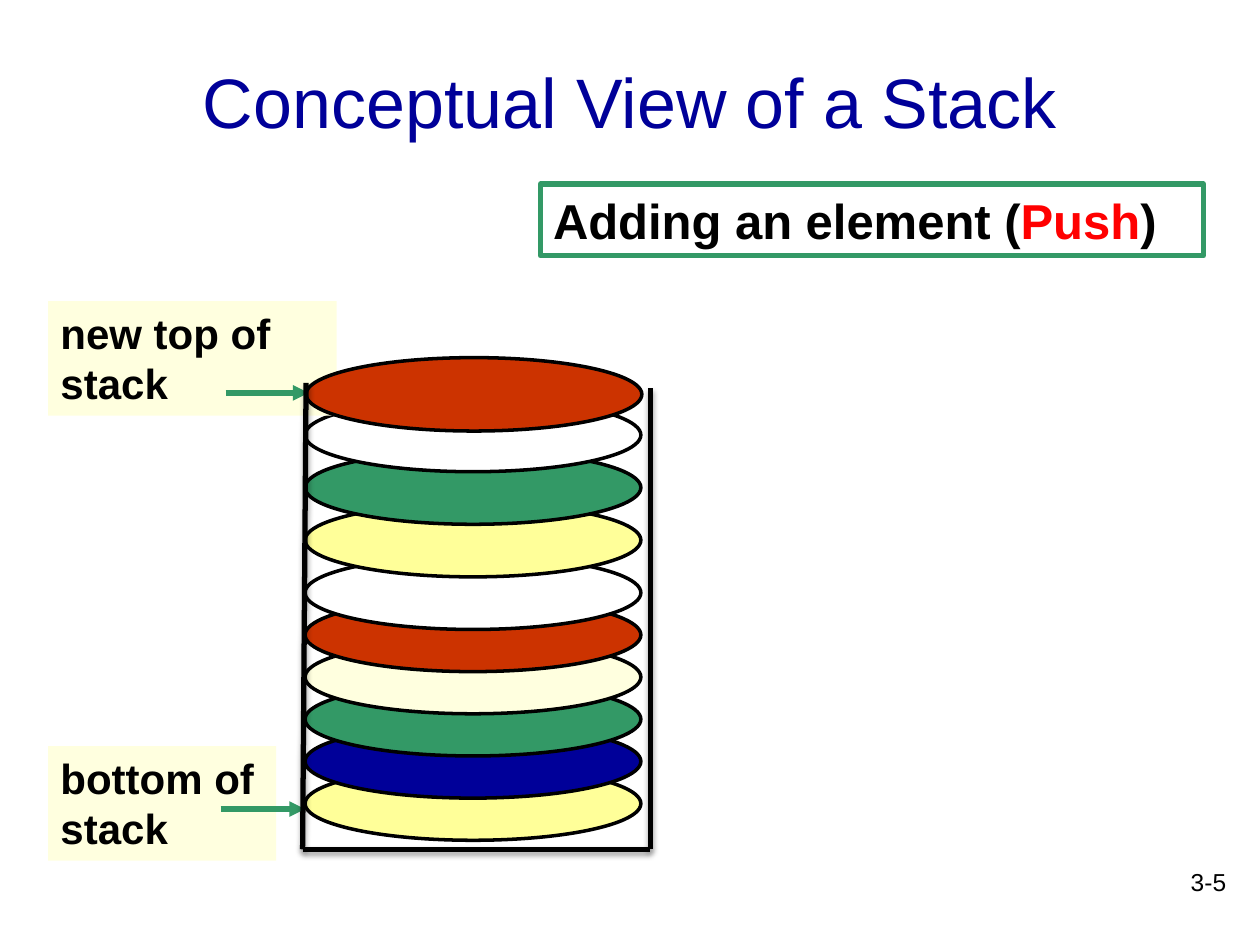
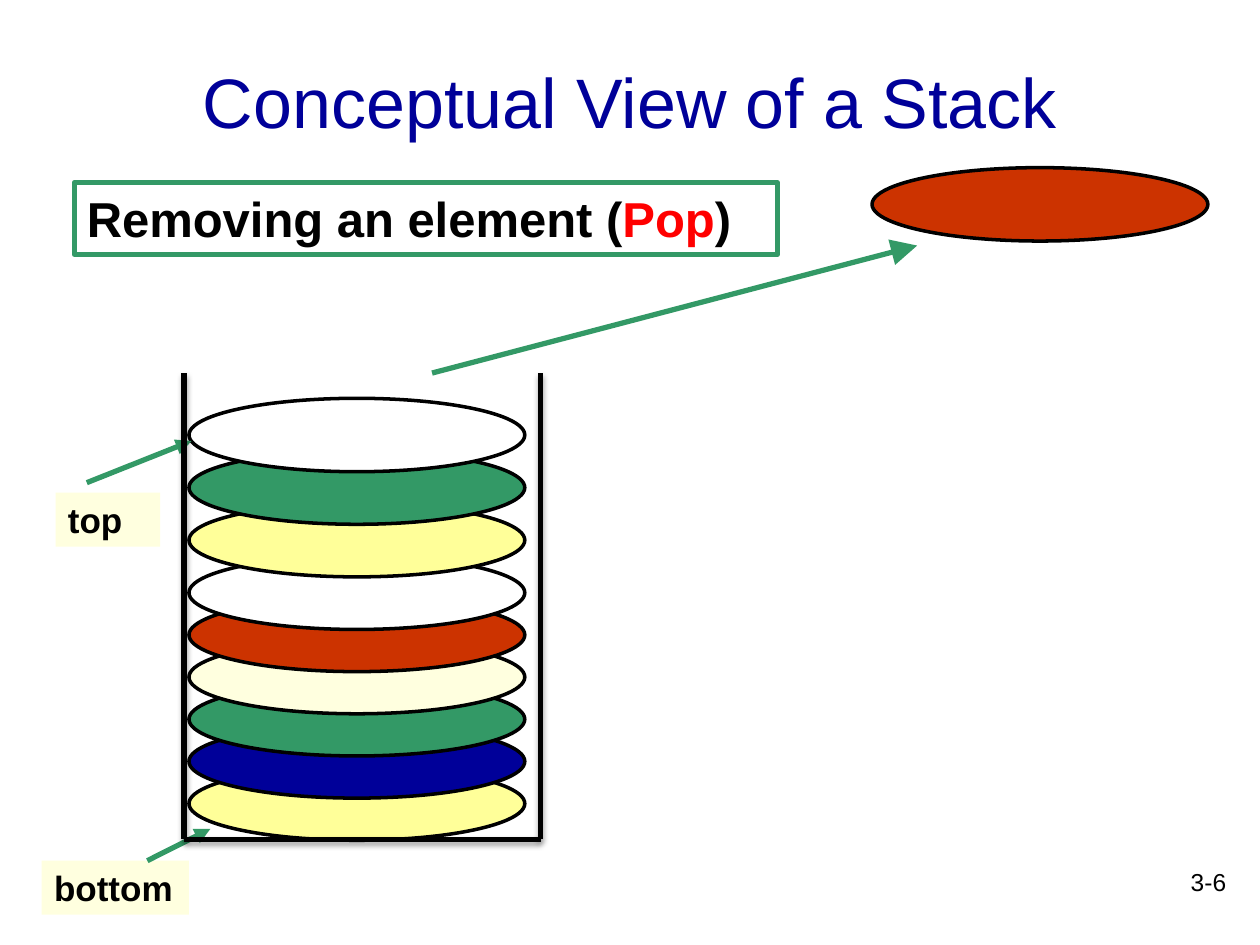
from dataclasses import dataclass

from lxml.etree import SubElement
from pptx import Presentation
from pptx.dml.color import RGBColor
from pptx.enum.shapes import MSO_CONNECTOR as Connector, MSO_SHAPE as Shape
from pptx.enum.text import MSO_ANCHOR as Anchor, PP_ALIGN as Align
from pptx.oxml.ns import qn
from pptx.util import Cm, Pt


@dataclass(frozen=True)
class Theme:
    font: str = "Arial"
    black: str = "000000"
    white: str = "FFFFFF"
    navy: str = "000099"
    green: str = "339966"
    yellow: str = "FFFF99"
    cream: str = "FFFFDF"
    rust: str = "CC3300"
    red: str = "FF0000"
    title_size: int = 40
    operation_size: int = 28
    number_size: int = 14
    outline: int = 2
    rule: int = 3


THEME = Theme()
DISC_WIDTH, DISC_HEIGHT = 6.77, 1.48
BOTTOM_DISC_TOP = 15.46
TIGHT_STEP, LOOSE_STEP = 0.85, 1.06
TIGHT_DISCS = 6
DISC_COLORS = (THEME.yellow, THEME.navy, THEME.green, THEME.cream, THEME.rust,
               THEME.white, THEME.yellow, THEME.green, THEME.white)


class StackDeck:
    def __init__(self, theme):
        self.theme = theme
        self.presentation = Presentation()
        self.presentation.slide_width = Cm(25.4)
        self.presentation.slide_height = Cm(19.05)
        self.slide = None

    def new_slide(self, number):
        """Start a slide with the shared title and page number."""
        self.slide = self.presentation.slides.add_slide(self.presentation.slide_layouts[6])
        theme = self.theme
        self.text((19.69, 17.35, 5.28, 1.27), [(number, theme.black)],
                  theme.number_size, align=Align.RIGHT)
        self.text((1.9, 0.43, 21.6, 3.18), [("Conceptual View of a Stack", theme.navy)],
                  theme.title_size, align=Align.CENTER, anchor=Anchor.MIDDLE)

    def text(self, box, runs, size, bold=False, align=Align.LEFT, anchor=Anchor.TOP):
        """Add a text box whose runs are (text, colour) pairs."""
        shape = self.slide.shapes.add_textbox(*map(Cm, box))
        frame = shape.text_frame
        frame.word_wrap = True
        frame.vertical_anchor = anchor
        paragraph = frame.paragraphs[0]
        paragraph.alignment = align
        for content, color in runs:
            run = paragraph.add_run()
            run.text = content
            run.font.name = self.theme.font
            run.font.size = Pt(size)
            run.font.bold = bold
            run.font.color.rgb = RGBColor.from_string(color)
        return shape

    def label(self, box, content, size):
        shape = self.text(box, [(content, self.theme.black)], size, bold=True)
        shape.fill.solid()
        shape.fill.fore_color.rgb = RGBColor.from_string(self.theme.cream)

    def operation(self, box, action, name):
        """Add the framed heading with the operation name in red."""
        theme = self.theme
        runs = [(f"{action} an element (", theme.black), (name, theme.red), (")", theme.black)]
        shape = self.text(box, runs, theme.operation_size, bold=True)
        self.set_line(shape, theme.green, theme.rule)

    def set_line(self, shape, color, width):
        shape.line.color.rgb = RGBColor.from_string(color)
        shape.line.width = Pt(width)

    def disc(self, left, top, color):
        shape = self.slide.shapes.add_shape(
            Shape.OVAL, Cm(left), Cm(top), Cm(DISC_WIDTH), Cm(DISC_HEIGHT))
        shape.shadow.inherit = False
        shape.fill.solid()
        shape.fill.fore_color.rgb = RGBColor.from_string(color)
        self.set_line(shape, self.theme.black, self.theme.outline)

    def pile(self, left):
        """Pile the discs from the bottom up; the upper ones are spaced wider."""
        top = BOTTOM_DISC_TOP
        for index, color in enumerate(DISC_COLORS, start=1):
            self.disc(left, top, color)
            top -= TIGHT_STEP if index < TIGHT_DISCS else LOOSE_STEP

    def connector(self, start, end, color):
        """Add a straight line; return it with its empty effect list."""
        line = self.slide.shapes.add_connector(Connector.STRAIGHT, *map(Cm, start + end))
        self.set_line(line, color, self.theme.rule)
        effects = SubElement(line.element.spPr, qn("a:effectLst"))
        return line, effects

    def arrow(self, start, end, head="med"):
        line, _ = self.connector(start, end, self.theme.green)
        SubElement(line.line._get_or_add_ln(), qn("a:tailEnd"), type="triangle", w=head, len=head)

    def container(self, *corners):
        """Draw shadowed walls through the corners of the open container."""
        for start, end in zip(corners, corners[1:]):
            _, effects = self.connector(start, end, self.theme.black)
            shadow = SubElement(effects, qn("a:outerShdw"), blurRad=str(Pt(3.1)),
                                dist=str(Pt(1.8)), dir="5400000", rotWithShape="0")
            color = SubElement(shadow, qn("a:srgbClr"), val=self.theme.black)
            SubElement(color, qn("a:alpha"), val="35000")


def add_push_slide(deck):
    deck.new_slide("3-5")
    deck.pile(6.15)
    deck.label((0.97, 15.04, 4.6, 2.31), "bottom of stack", 24)
    deck.label((0.97, 6.07, 5.82, 2.31), "new top of stack", 24)
    deck.arrow((4.55, 7.92), (6.22, 7.92))
    deck.arrow((4.45, 16.31), (6.15, 16.31))
    deck.operation((10.9, 3.71, 13.36, 1.45), "Adding", "Push")
    deck.disc(6.17, 7.21, THEME.rust)
    deck.container((6.17, 7.72), (6.1, 17.12), (13.11, 17.12), (13.11, 7.82))


def add_pop_slide(deck):
    deck.new_slide("3-6")
    deck.operation((1.5, 3.68, 14.17, 1.45), "Removing", "Pop")
    deck.pile(3.81)
    deck.label((1.12, 9.93, 2.11, 1.09), "top", 20)
    deck.label((0.84, 17.35, 2.97, 1.09), "bottom", 20)
    deck.arrow((2.97, 17.35), (4.24, 16.71))
    deck.arrow((1.75, 9.73), (3.86, 8.89))
    deck.disc(17.58, 3.38, THEME.rust)
    deck.arrow((8.71, 7.52), (18.49, 4.95), head="lg")
    deck.container((3.71, 7.52), (3.71, 16.92), (10.9, 16.92), (10.9, 7.52))


def main():
    deck = StackDeck(THEME)
    add_push_slide(deck)
    add_pop_slide(deck)
    deck.presentation.save("out.pptx")


if __name__ == "__main__":
    main()
